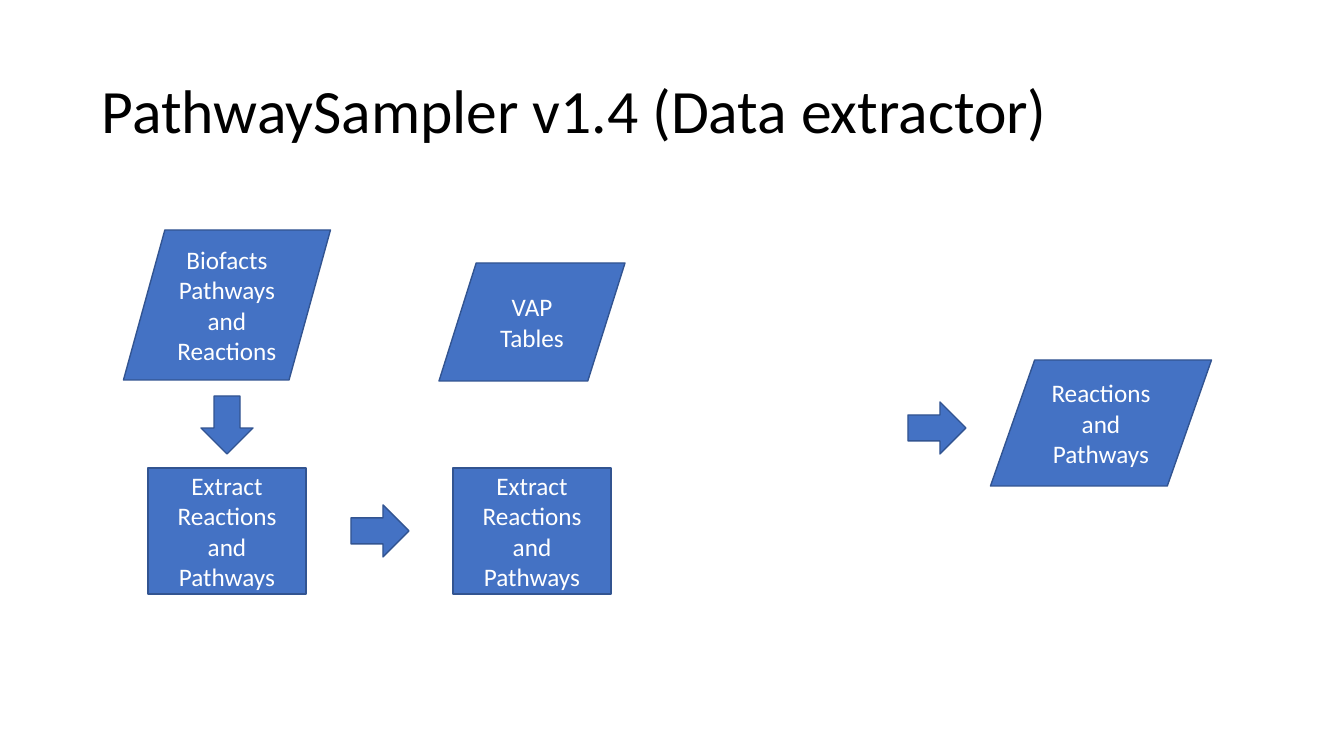
import pptx
import pptx.util
import pptx.dml.color
import pptx.enum.shapes
import pptx.enum.text

COLORS = {"fill": "4472C4", "outline": "325491", "title": "000000", "label": "FFFFFF"}
FONT = "Calibri"
EMU_PER_PIXEL = 914400 / 100.8
KINDS = pptx.enum.shapes.MSO_SHAPE
ALIGN = pptx.enum.text.PP_ALIGN

title = "PathwaySampler v1.4 (Data extractor)"
title_area = (92, 41, 1159, 146)

SOURCE_X, TABLES_X, RESULT_X = 227, 532, 1101
EXTRACT_Y = 531
EXTRACT_SIZE = (158, 126)
ARROW_SIZE = (58, 52)

data_nodes = [
    ("VAP Tables", (TABLES_X, 322), (186, 118)),
    ("Reactions and Pathways", (RESULT_X, 423), (221, 126)),
    ("Biofacts\nPathways and Reactions", (SOURCE_X, 305), (207, 150)),
]
extract_label = "Extract Reactions and Pathways"
extract_columns = [SOURCE_X, TABLES_X]
arrows = [
    ((380, EXTRACT_Y), 0),
    ((937, 428), 0),
    ((SOURCE_X, 425), 90),
]


def px(length):
    return pptx.util.Emu(round(length * EMU_PER_PIXEL))


def rgb(role):
    return pptx.dml.color.RGBColor.from_string(COLORS[role])


def write(shape, text, size, role, align):
    frame = shape.text_frame
    frame.word_wrap = True
    frame.vertical_anchor = pptx.enum.text.MSO_ANCHOR.MIDDLE
    frame.text = text
    for paragraph in frame.paragraphs:
        paragraph.alignment = align
        for run in paragraph.runs:
            run.font.name = FONT
            run.font.size = pptx.util.Pt(size)
            run.font.color.rgb = rgb(role)


def add_node(kind, center, size, label=None, rotation=0):
    (x, y), (width, height) = center, size
    node = slide.shapes.add_shape(
        kind, px(x - width / 2), px(y - height / 2), px(width), px(height))
    node.rotation = rotation
    node.shadow.inherit = False
    node.fill.solid()
    node.fill.fore_color.rgb = rgb("fill")
    node.line.color.rgb = rgb("outline")
    node.line.width = pptx.util.Pt(1)
    if label:
        write(node, label, 18, "label", ALIGN.CENTER)


deck = pptx.Presentation()
deck.slide_width, deck.slide_height = px(1344), px(756)
slide = deck.slides.add_slide(deck.slide_layouts[6])

heading = slide.shapes.add_textbox(*map(px, title_area))
write(heading, title, 44, "title", ALIGN.LEFT)
heading.text_frame.paragraphs[0].line_spacing = 0.9

for label, center, size in data_nodes:
    add_node(KINDS.FLOWCHART_DATA, center, size, label)
for column in extract_columns:
    add_node(KINDS.FLOWCHART_PROCESS, (column, EXTRACT_Y), EXTRACT_SIZE, extract_label)
for center, rotation in arrows:
    add_node(KINDS.RIGHT_ARROW, center, ARROW_SIZE, rotation=rotation)

deck.save("out.pptx")
